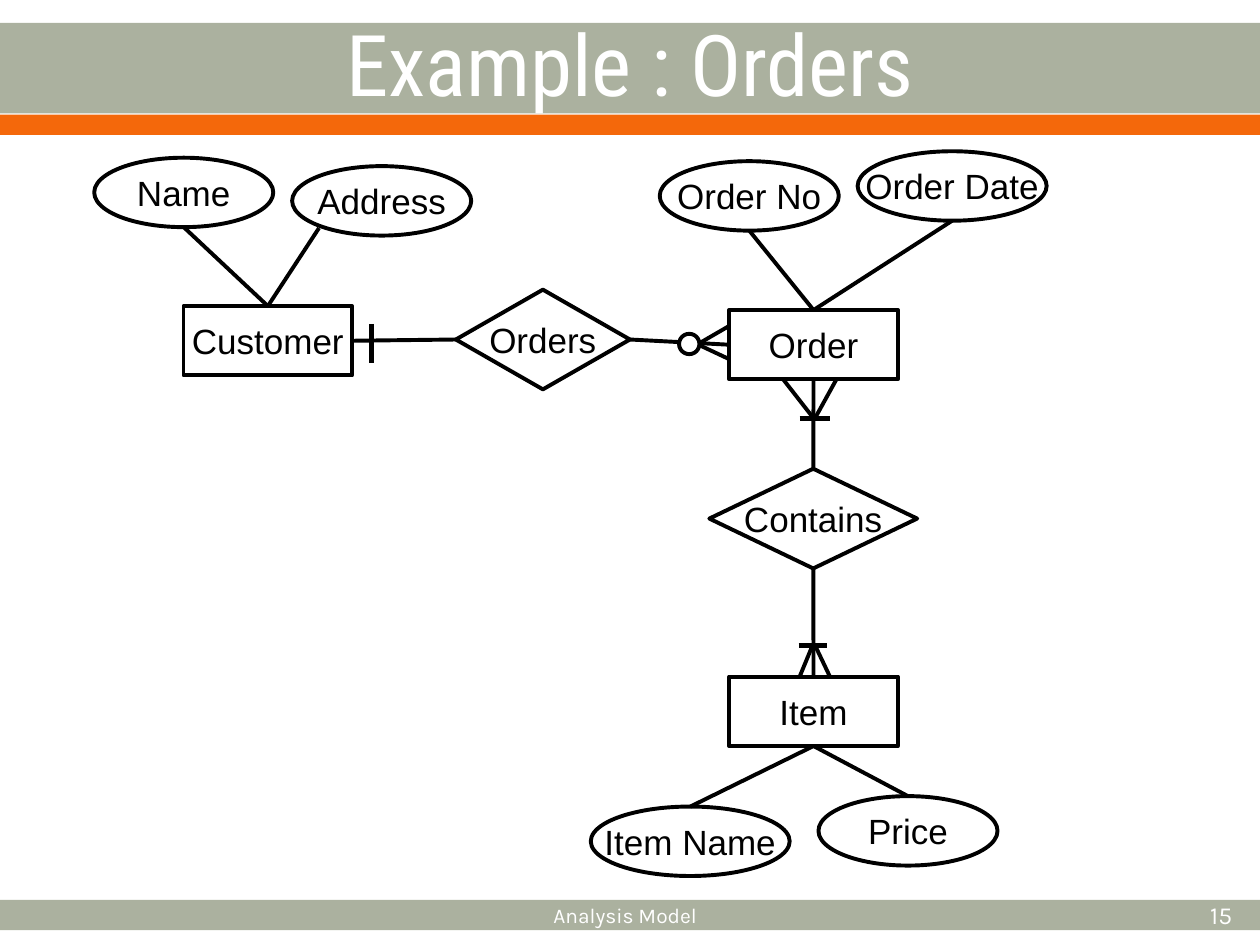
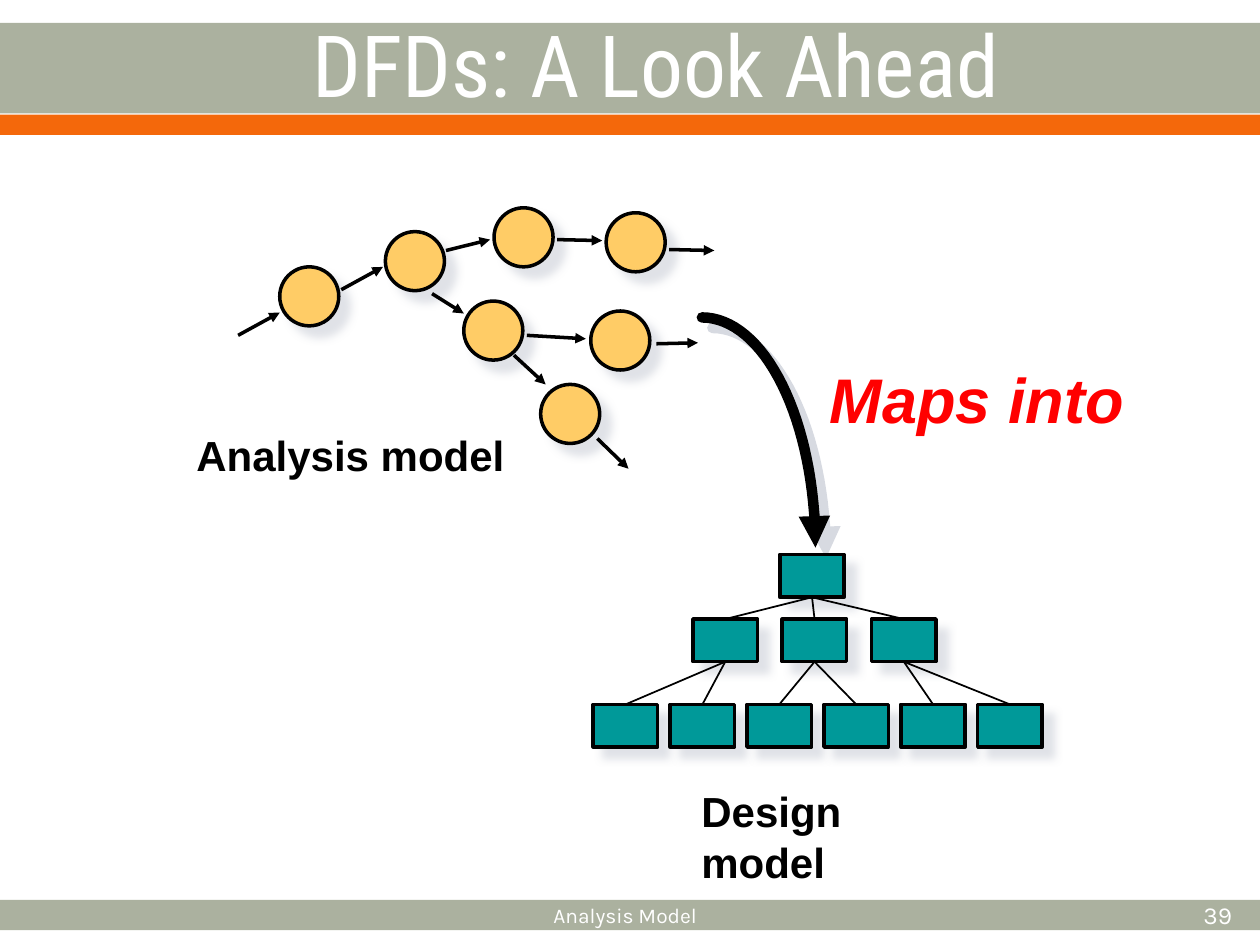
from collections import namedtuple
from math import cos, pi, sin

from lxml import etree
from pptx import Presentation
from pptx.dml.color import RGBColor
from pptx.enum.shapes import MSO_CONNECTOR, MSO_SHAPE
from pptx.enum.text import MSO_ANCHOR, PP_ALIGN
from pptx.oxml.ns import qn
from pptx.util import Cm, Pt

STRAIGHT = MSO_CONNECTOR.STRAIGHT
RECTANGLE, ELLIPSE, DIAMOND = MSO_SHAPE.RECTANGLE, MSO_SHAPE.OVAL, MSO_SHAPE.DIAMOND
LEFT, CENTER, RIGHT = PP_ALIGN.LEFT, PP_ALIGN.CENTER, PP_ALIGN.RIGHT
TOP, MIDDLE = MSO_ANCHOR.TOP, MSO_ANCHOR.MIDDLE
SIDE_TOP, SIDE_LEFT, SIDE_BOTTOM, SIDE_RIGHT = range(4)

COLORS = {
    "band": "ABB19F", "accent": "F4680B", "white": "FFFFFF", "ink": "000000",
    "process": "FFCC66", "module": "009999", "highlight": "FF0000", "shadow": "D7DAE1",
}
BODY_FONT, TITLE_FONT, FOOTER_FONT = "Arial", "Roboto Condensed", "Karla"

# All boxes are in centimetres
Box = namedtuple("Box", "left top width height")
SLIDE = Box(0, 0, 25.4, 19.05)


def rgb(name):
    return RGBColor.from_string(COLORS[name])


def inside(box, left, top, width, height):
    """Turn a place relative to a box into a place on the slide."""
    return Box(box.left + left, box.top + top, width, height)


def write(frame, lines, font, size, color="ink", align=CENTER, anchor=MIDDLE,
          wrap=True, bold=False, italic=False):
    frame.word_wrap = wrap
    frame.vertical_anchor = anchor
    para = frame.paragraphs[0]
    para.alignment = align
    for index, line in enumerate(lines.split("\n")):
        if index:
            para.add_line_break()
        span = para.add_run()
        span.text = line
        span.font.name, span.font.size = font, Pt(size)
        span.font.bold, span.font.italic = bold, italic
        span.font.color.rgb = rgb(color)


def add_text(page, box, lines, font, size, **style):
    text_box = page.shapes.add_textbox(*map(Cm, box))
    write(text_box.text_frame, lines, font, size, **style)


def style_shape(shape, fill, line_width):
    shape.shadow.inherit = False
    if fill:
        shape.fill.solid()
        shape.fill.fore_color.rgb = rgb(fill)
    else:
        shape.fill.background()
    if line_width:
        shape.line.color.rgb = rgb("ink")
        shape.line.width = Pt(line_width)
    else:
        shape.line.fill.background()


def add_figure(page, kind, box, fill=None, line_width=2.25, label=None):
    figure = page.shapes.add_shape(kind, *map(Cm, box))
    style_shape(figure, fill, line_width)
    if label:
        write(figure.text_frame, label, BODY_FONT, 20, wrap=False)
    return figure


def cast_shadow(shape, alpha, blur):
    effects = shape._element.spPr.find(qn("a:effectLst"))
    shadow = etree.SubElement(effects, qn("a:outerShdw"), blurRad=str(Pt(blur)),
                              dist=str(Pt(8.5)), dir="2700000", algn="ctr", rotWithShape="0")
    color = etree.SubElement(shadow, qn("a:srgbClr"), val=COLORS["shadow"])
    etree.SubElement(color, qn("a:alpha"), val=str(alpha * 1000))


def add_arrowhead(shape):
    outline = shape._element.spPr.find(qn("a:ln"))
    etree.SubElement(outline, qn("a:tailEnd"), type="triangle")


def add_line(page, box, start=(0, 0), end=(0, 0), width=2.25, arrow=False,
             begin_at=None, end_at=None):
    """Draw a line between points in the box; begin_at and end_at are (shape, side)."""
    points = [Cm(box.left + start[0]), Cm(box.top + start[1]),
              Cm(box.left + end[0]), Cm(box.top + end[1])]
    connector = page.shapes.add_connector(STRAIGHT, *points)
    connector.line.color.rgb = rgb("ink")
    connector.line.width = Pt(width)
    etree.SubElement(connector._element.spPr, qn("a:effectLst"))
    if arrow:
        add_arrowhead(connector)
    if begin_at:
        connector.begin_connect(*begin_at)
    if end_at:
        connector.end_connect(*end_at)


def add_frame(page, box, title, title_box, title_size, number):
    """Bands, title and footer shared by the slides."""
    for top, height, color in [(18.14, 0.61, "band"), (0.46, 1.83, "band"),
                               (2.31, 0.41, "accent")]:
        add_figure(page, RECTANGLE, inside(box, 0, top, box.width, height), color, 0)
    add_text(page, title_box, title, TITLE_FONT, title_size, color="white")
    add_text(page, inside(box, 5.9, 17.93, 13.41, 1.02), "Analysis Model",
             FOOTER_FONT, 12, color="white")
    add_text(page, inside(box, 20.7, 17.93, 4.39, 1.02), number,
             FOOTER_FONT, 14, color="white", align=RIGHT)


def add_entity_diagram(page, box):
    # Entities
    entities = {}
    for name, left, top in [("Customer", 1.8, 3.12), ("Order", 12.8, 3.2),
                            ("Item", 12.8, 10.59)]:
        entities[name] = add_figure(page, RECTANGLE, inside(box, left, top, 3.4, 1.4),
                                    "white", label=name)

    # Attributes: the line leaves the ellipse at a fraction of its width and height
    for name, left, top, width, entity, side, across, down in [
        ("Name", 0, 0.13, 3.61, "Customer", SIDE_TOP, 0.5, 1),
        ("Address", 3.99, 0.3, 3.61, "Customer", SIDE_TOP, 0.15, 0.89),
        ("Order No", 11.4, 0.2, 3.61, "Order", SIDE_TOP, 0.5, 1),
        ("Order Date", 15.39, 0, 3.81, "Order", SIDE_TOP, 0.5, 1),
        ("Item Name", 10.01, 13.21, 4.01, "Item", SIDE_BOTTOM, 0.5, 0),
        ("Price", 14.6, 13, 3.61, "Item", SIDE_BOTTOM, 0.5, 0),
    ]:
        add_figure(page, ELLIPSE, inside(box, left, top, width, 1.4), label=name)
        add_line(page, box, (left + across * width, top + down * 1.4),
                 end_at=(entities[entity], side))

    # Relationships
    orders = add_figure(page, DIAMOND, inside(box, 7.29, 2.79, 3.51, 2.01), label="Orders")
    contains = add_figure(page, DIAMOND, inside(box, 12.4, 6.4, 4.19, 2.01), label="Contains")
    for begin_at, end_at in [
        ((entities["Customer"], SIDE_RIGHT), (orders, SIDE_LEFT)),
        ((orders, SIDE_RIGHT), (entities["Order"], SIDE_LEFT)),
        ((entities["Order"], SIDE_BOTTOM), (contains, SIDE_TOP)),
        ((contains, SIDE_BOTTOM), (entities["Item"], SIDE_TOP)),
    ]:
        add_line(page, box, begin_at=begin_at, end_at=end_at)

    # Crow's feet
    for start, end in [
        ((11.99, 3.81), (12.8, 4.19)), ((11.99, 3.99), (12.8, 3.52)),
        ((13.89, 4.6), (14.5, 5.38)), ((14.96, 4.6), (14.53, 5.38)),
        ((14.48, 9.96), (14.22, 10.59)), ((14.53, 9.96), (14.83, 10.59)),
    ]:
        add_line(page, box, start, end)

    # "One" bars and the "zero" circle
    for start, end in [((5.59, 3.48), (5.59, 4.27)), ((14.22, 5.38), (14.83, 5.38)),
                       ((14.2, 9.96), (14.78, 9.96))]:
        add_line(page, box, start, end, width=3)
    add_figure(page, ELLIPSE, inside(box, 11.79, 3.68, 0.41, 0.41), "white")


def add_data_flow(page, box):
    # Processes
    for left, top in [(0.84, 1.19), (2.97, 0.48), (5.16, 0), (4.55, 1.88),
                      (6.1, 3.56), (7.42, 0.1), (7.11, 2.08)]:
        process = add_figure(page, ELLIPSE, inside(box, left, top, 1.19, 1.19), "process", 2)
        cast_shadow(process, 75, 5)

    # Flows
    for start, end in [
        ((0, 2.57), (0.84, 2.11)), ((2.08, 1.65), (2.92, 1.19)),
        ((4.19, 0.86), (5.08, 0.64)), ((6.43, 0.64), (7.34, 0.66)),
        ((8.69, 0.84), (9.6, 0.86)), ((3.91, 1.73), (4.55, 2.13)),
        ((5.56, 2.97), (6.2, 3.56)), ((7.24, 4.65), (7.87, 5.26)),
        ((8.43, 2.74), (9.27, 2.72)), ((5.82, 2.57), (7.01, 2.64)),
    ]:
        add_line(page, box, start, end, width=2, arrow=True)


def add_mapping_arrow(page, box, steps=32):
    """Quarter ellipse from the top left to the bottom right of the box."""
    angles = [pi / 2 * step / steps for step in range(steps + 1)]
    points = [(Cm(box.left + box.width * sin(angle)),
               Cm(box.top + box.height * (1 - cos(angle)))) for angle in angles]
    outline = page.shapes.build_freeform(*points[0])
    outline.add_line_segments(points[1:], close=False)
    arrow = outline.convert_to_shape()
    style_shape(arrow, None, 6)
    arrow._element.spPr.find(qn("a:ln")).set("cap", "rnd")
    add_arrowhead(arrow)
    cast_shadow(arrow, 100, 0)


def add_module_tree(page, box):
    # Rows of modules: left of the first, top, pitch, count
    rows = []
    for first, top, pitch, count in [(3.76, 0, 0, 1), (2.01, 1.3, 1.8, 3), (0, 3.02, 1.55, 6)]:
        row = [add_figure(page, RECTANGLE, inside(box, first + pitch * index, top, 1.3, 0.86),
                          "module", 2) for index in range(count)]
        for module in row:
            cast_shadow(module, 75, 5)
        rows.append(row)

    # Every parent has an equal share of the next row
    for parents, children in zip(rows, rows[1:]):
        share = len(children) // len(parents)
        for index, child in enumerate(children):
            add_line(page, box, width=1, begin_at=(parents[index // share], SIDE_BOTTOM),
                     end_at=(child, SIDE_TOP))


def build_orders_slide(page):
    add_frame(page, SLIDE, "Example : Orders", inside(SLIDE, 0, 0.48, 25.4, 1.57), 48.6, "15")
    add_entity_diagram(page, inside(SLIDE, 1.9, 3.05, 19.2, 14.61))


def build_look_ahead_slide(page):
    add_frame(page, SLIDE, "DFDs: A Look Ahead", inside(SLIDE, 1.83, 0.48, 22.78, 1.57), 49, "39")
    add_mapping_arrow(page, inside(SLIDE, 14.15, 6.4, 2.29, 4.64))
    add_data_flow(page, inside(SLIDE, 4.8, 4.19, 9.6, 5.26))
    add_module_tree(page, inside(SLIDE, 11.96, 11.18, 9.05, 3.88))

    # Labels
    label_style = {"align": LEFT, "anchor": TOP, "bold": True}
    add_text(page, inside(SLIDE, 16.48, 7.14, 6.8, 1.78), "Maps into", BODY_FONT, 36,
             color="highlight", italic=True, **label_style)
    add_text(page, inside(SLIDE, 3.71, 8.53, 7, 1.27), "Analysis model", BODY_FONT, 24,
             **label_style)
    add_text(page, inside(SLIDE, 13.89, 15.72, 6.05, 2.2), "Design\nmodel", BODY_FONT, 24,
             **label_style)


def main():
    deck = Presentation()
    deck.slide_width, deck.slide_height = Cm(SLIDE.width), Cm(SLIDE.height)
    for build in (build_orders_slide, build_look_ahead_slide):
        build(deck.slides.add_slide(deck.slide_layouts[6]))
    deck.save("out.pptx")


if __name__ == "__main__":
    main()
